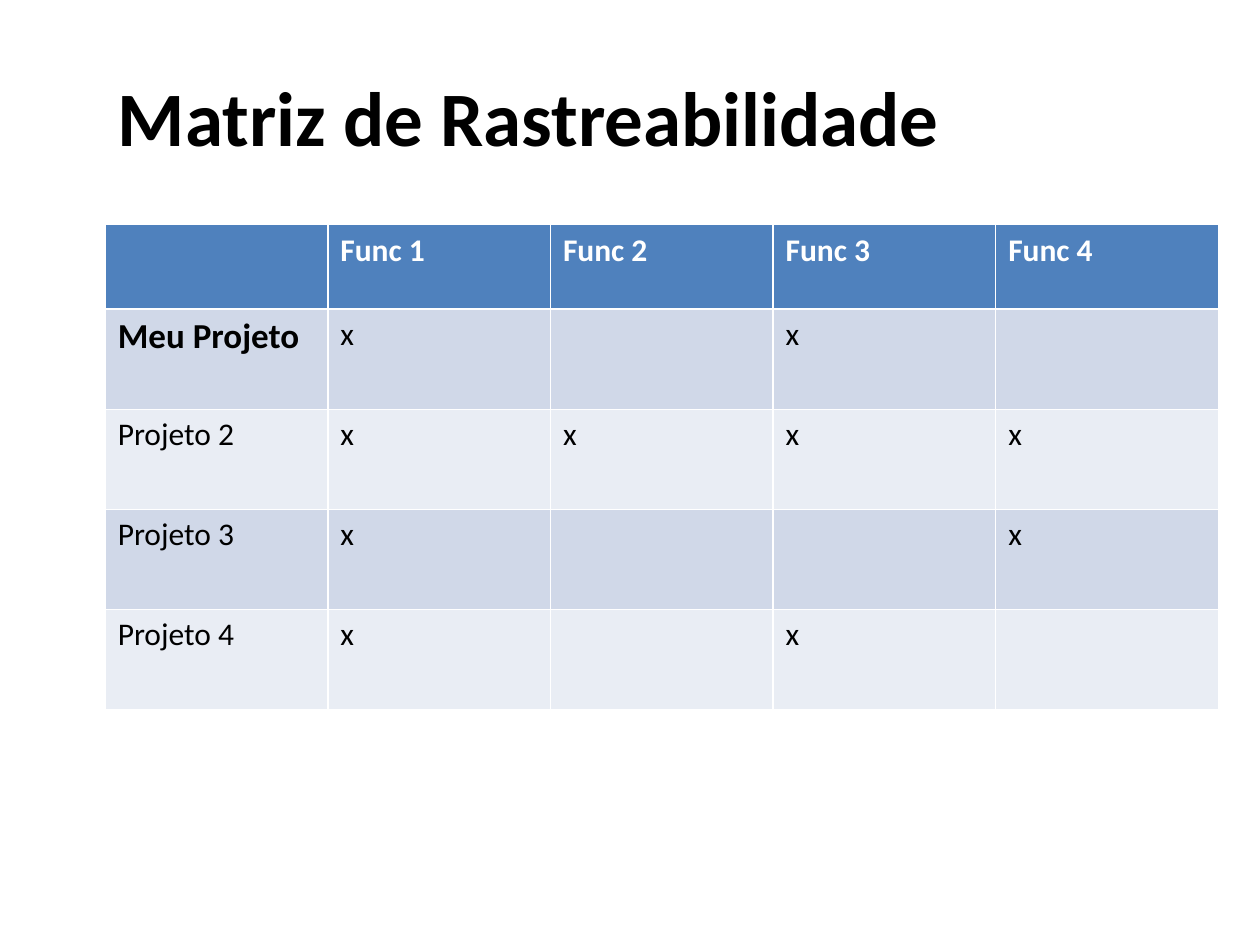
from pptx import Presentation
from pptx.dml.color import RGBColor
from pptx.enum.text import MSO_ANCHOR, PP_ALIGN
from pptx.util import Cm, Pt

BLACK = RGBColor(0x00, 0x00, 0x00)
WHITE = RGBColor(0xFF, 0xFF, 0xFF)
HEADER_BLUE = RGBColor(0x4F, 0x81, 0xBD)
BAND_DARK = RGBColor(0xD0, 0xD8, 0xE8)
BAND_LIGHT = RGBColor(0xE9, 0xED, 0xF4)

FONT = "Calibri"
LEFT, WIDTH = Cm(2.12), Cm(22.44)
HEADER_HEIGHT, ROW_HEIGHT = Cm(1.7), Cm(2.02)

MATRIX = [
    ["", "Func 1", "Func 2", "Func 3", "Func 4"],
    ["Meu Projeto", "x", "", "x", ""],
    ["Projeto 2", "x", "x", "x", "x"],
    ["Projeto 3", "x", "", "", "x"],
    ["Projeto 4", "x", "", "x", ""],
]


def format_text(p, size, color, bold=False):
    # The paragraph font also sizes empty cells
    for font in [p.font] + [r.font for r in p.runs]:
        font.name = FONT
        font.size = Pt(size)
        font.bold = bold
        font.color.rgb = color


def add_title(s, text):
    title = s.shapes.title
    title.left, title.top, title.width, title.height = LEFT, Cm(0.75), WIDTH, Cm(3.18)
    tf = title.text_frame
    tf.text = text
    tf.vertical_anchor = MSO_ANCHOR.MIDDLE
    p = tf.paragraphs[0]
    p.alignment = PP_ALIGN.LEFT
    format_text(p, 44, BLACK, bold=True)


def fill_cell(cell, text, fill, size, color, bold):
    cell.fill.solid()
    cell.fill.fore_color.rgb = fill
    cell.text_frame.text = text
    format_text(cell.text_frame.paragraphs[0], size, color, bold)


def add_matrix(s, rows):
    """Add the table; its default style supplies the white borders."""
    height = HEADER_HEIGHT + ROW_HEIGHT * (len(rows) - 1)
    table = s.shapes.add_table(
        len(rows), len(rows[0]), LEFT, Cm(4.53), WIDTH, height
    ).table
    for i, row in enumerate(rows):
        header = i == 0
        table.rows[i].height = HEADER_HEIGHT if header else ROW_HEIGHT
        band = BAND_DARK if i % 2 else BAND_LIGHT
        for j, text in enumerate(row):
            own_project = (i, j) == (1, 0)
            fill_cell(
                table.cell(i, j),
                text,
                fill=HEADER_BLUE if header else band,
                size=20 if own_project else 18,
                color=WHITE if header else BLACK,
                bold=header or own_project,
            )


def main():
    prs = Presentation()
    prs.slide_width, prs.slide_height = Cm(25.4), Cm(19.05)
    s = prs.slides.add_slide(prs.slide_layouts[5])
    add_title(s, "Matriz de Rastreabilidade")
    add_matrix(s, MATRIX)
    prs.save("out.pptx")


if __name__ == "__main__":
    main()
